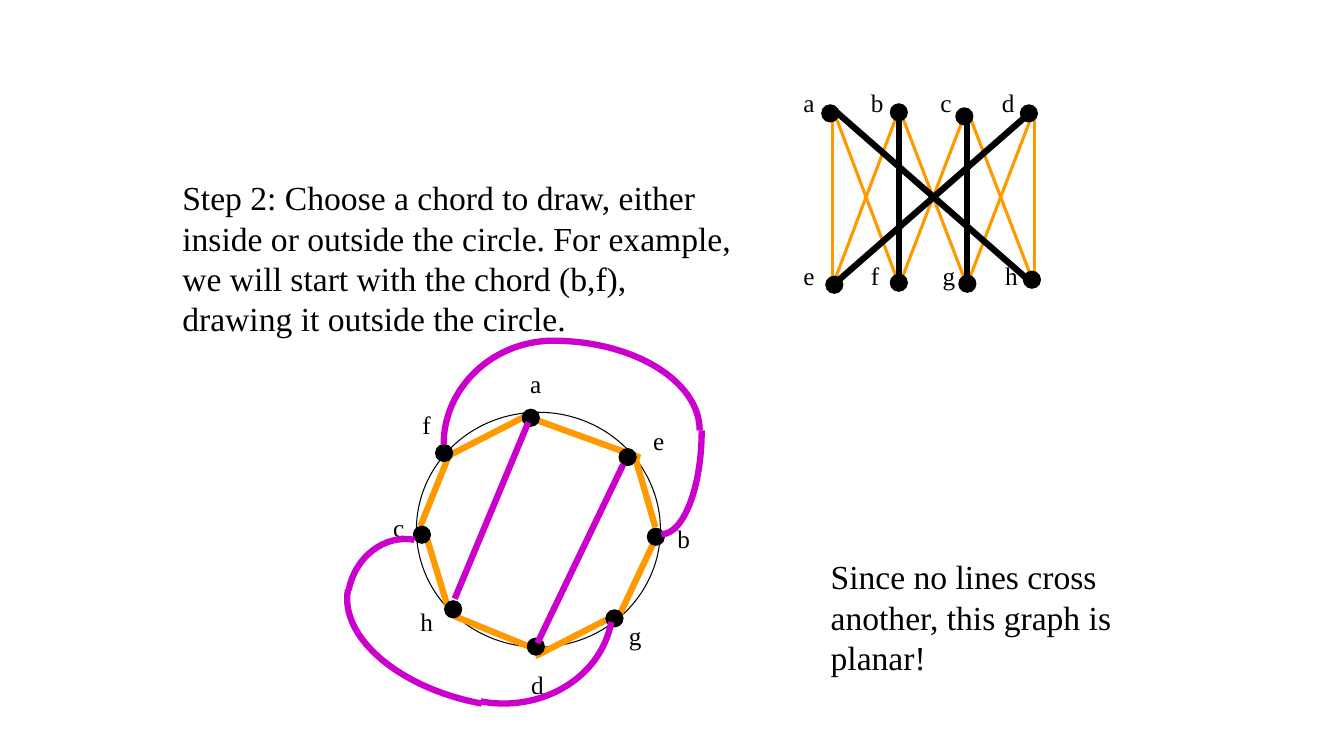
import math

import lxml.etree
import pptx
import pptx.dml.color
import pptx.enum.shapes
import pptx.enum.text
import pptx.oxml.ns
import pptx.util
from pptx.util import Inches

BLACK, WHITE, ORANGE, PURPLE = "000000", "FFFFFF", "FF9900", "CC00CC"
DOT_SIZE = 0.17
CURVE_PULL = 0.55
CURVE_SCALE = 10000

COLUMNS = (8.26, 8.92, 9.59, 10.26)
ROWS = {"abcd": 1.08, "efgh": 2.83}
CIRCLE_EDGES = ["dh", "ae", "af", "cf", "ch", "bg", "be", "dg"]
CHORDS = ["bf", "cg", "de", "ah"]
BIPARTITE_DOTS = [
    (10.15, 2.69), (8.83, 1.03), (9.48, 1.07), (10.12, 1.04),
    (8.15, 1.04), (8.19, 2.74), (8.83, 2.72), (9.51, 2.73),
]
LABEL_TABS = [
    ("a\tb\tc\td", (0.31, 0.98, 1.67, 2.28), 0),
    ("e\tf\tg\th", (0.31, 0.98, 1.69, 2.31), 101.5),
]

RING_EDGES = [
    ((5.3, 4.16), (6.35, 4.54)), ((4.5, 6.11), (5.36, 6.46)),
    ((6.3, 4.54), (6.5, 5.23)), ((6.49, 5.37), (6.14, 6.11)),
    ((4.24, 5.36), (4.45, 6.05)), ((6.09, 6.11), (5.31, 6.51)),
    ((4.46, 4.5), (4.17, 5.22)), ((5.25, 4.11), (4.47, 4.51)),
]
RING_VERTICES = {
    "f": ((4.32, 4.41), (4.09, 4.01, 0.28, 0.4)),
    "a": ((5.18, 4.06), (5.16, 3.6, 0.31, 0.4)),
    "g": ((6.01, 6.05), (6.14, 6.1, 0.33, 0.4)),
    "e": ((6.14, 4.45), (6.38, 4.17, 0.31, 0.4)),
    "c": ((4.1, 5.22), (3.8, 5.03, 0.31, 0.4)),
    "h": ((4.41, 5.96), (4.07, 5.97, 0.33, 0.4)),
    "d": ((5.23, 6.33), (5.17, 6.59, 0.33, 0.4)),
    "b": ((6.42, 5.24), (6.62, 5.14, 0.33, 0.4)),
}
INSIDE_CHORDS = [((4.51, 5.94), (5.24, 4.19)), ((5.33, 6.38), (6.18, 4.61))]
OUTSIDE_ARCS = [
    ((4.4, 3.38, 1.09, 1.03), 180, 0),
    ((6.56, 4.27, 0.4, 1.03), 0, 0),
    ((5.48, 3.38, 1.46, 0.89), 270, 0),
    ((4.85, 6.06, 1.13, 1.01), 0, 10.5),
    ((3.51, 5.3, 0.55, 0.61), 180, 10.5),
    ((3.36, 5.98, 1.51, 0.87), 90, 10.5),
]


def rgb(color):
    return pptx.dml.color.RGBColor.from_string(color)


def apply(target, values):
    for name, value in values.items():
        setattr(target, name, value)


def set_line(line, color, width):
    line.color.rgb = rgb(color)
    line.width = pptx.util.Pt(width)


def add_line(slide, start, end, color, width):
    edge = slide.shapes.add_connector(
        pptx.enum.shapes.MSO_CONNECTOR.STRAIGHT,
        *(Inches(value) for value in (*start, *end)))
    set_line(edge.line, color, width)
    lxml.etree.SubElement(edge._element.spPr, pptx.oxml.ns.qn("a:effectLst"))


def add_ellipse(slide, box, fill):
    ellipse = slide.shapes.add_shape(
        pptx.enum.shapes.MSO_SHAPE.OVAL, *(Inches(value) for value in box))
    ellipse.shadow.inherit = False
    ellipse.fill.solid()
    ellipse.fill.fore_color.rgb = rgb(fill)
    set_line(ellipse.line, BLACK, 0.75)


def add_dot(slide, corner):
    add_ellipse(slide, (*corner, DOT_SIZE, DOT_SIZE), BLACK)


def bend_segments(shape):
    segments = list(shape._element.iter(pptx.oxml.ns.qn("a:lnTo")))
    curve = lxml.etree.Element(pptx.oxml.ns.qn("a:cubicBezTo"))
    segments[0].addprevious(curve)
    for segment in segments:
        curve.append(segment[0])
        segment.getparent().remove(segment)


def add_quarter_arc(slide, box, start_angle, rotation):
    left, top, width, height = box
    turn = math.radians(start_angle)
    cos, sin = round(math.cos(turn)), round(math.sin(turn))
    center_x = left if cos - sin > 0 else left + width
    center_y = top if cos + sin > 0 else top + height
    points = []
    for along, across in ((1, 0), (1, CURVE_PULL), (CURVE_PULL, 1), (0, 1)):
        x = center_x + width * (along * cos - across * sin)
        y = center_y + height * (along * sin + across * cos)
        points.append((round(x * CURVE_SCALE), round(y * CURVE_SCALE)))
    builder = slide.shapes.build_freeform(*points[0], scale=Inches(1) / CURVE_SCALE)
    builder.add_line_segments(points[1:], close=False)
    arc = builder.convert_to_shape()
    bend_segments(arc)
    arc.rotation = rotation
    arc.shadow.inherit = False
    arc.fill.background()
    set_line(arc.line, PURPLE, 4.5)


def add_tabs(paragraph, stops):
    tab_list = lxml.etree.SubElement(
        paragraph._p.get_or_add_pPr(), pptx.oxml.ns.qn("a:tabLst"))
    for stop in stops:
        lxml.etree.SubElement(tab_list, pptx.oxml.ns.qn("a:tab"),
                              pos=str(Inches(stop)), algn="l")


def format_font(paragraph, size):
    apply(paragraph.font, {"name": "Times New Roman", "size": pptx.util.Pt(size)})
    paragraph.font.color.rgb = rgb(BLACK)


def add_text(slide, box, text, size, wrap=True):
    frame = slide.shapes.add_textbox(*(Inches(value) for value in box)).text_frame
    apply(frame, {
        "word_wrap": wrap,
        "auto_size": pptx.enum.text.MSO_AUTO_SIZE.SHAPE_TO_FIT_TEXT,
        "text": text,
    })
    format_font(frame.paragraphs[0], size)


def add_row_labels(slide, box):
    frame = slide.shapes.add_textbox(*(Inches(value) for value in box)).text_frame
    frame.word_wrap = True
    for index, (labels, stops, gap) in enumerate(LABEL_TABS):
        row = frame.add_paragraph() if index else frame.paragraphs[0]
        row.text = "\t" + labels
        if gap:
            row.space_before = pptx.util.Pt(gap)
        add_tabs(row, stops)
        format_font(row, 18)


def add_bipartite_graph(slide):
    ends = {name: (x, y) for names, y in ROWS.items()
            for name, x in zip(names, COLUMNS)}
    for edges, color, width in ((CIRCLE_EDGES, ORANGE, 2.25), (CHORDS, BLACK, 4.5)):
        for start, end in edges:
            add_line(slide, ends[start], ends[end], color, width)
    for corner in BIPARTITE_DOTS:
        add_dot(slide, corner)
    add_row_labels(slide, (7.56, 0.82, 3.17, 2.21))


def add_circle_graph(slide):
    add_ellipse(slide, (4.13, 4.09, 2.42, 2.33), WHITE)
    for start, end in RING_EDGES:
        add_line(slide, start, end, ORANGE, 4.5)
    for corner, _ in RING_VERTICES.values():
        add_dot(slide, corner)
    for name, (_, label_box) in RING_VERTICES.items():
        add_text(slide, label_box, name, 18, wrap=False)
    for box, start_angle, rotation in OUTSIDE_ARCS:
        add_quarter_arc(slide, box, start_angle, rotation)
    for start, end in INSIDE_CHORDS:
        add_line(slide, start, end, PURPLE, 4.5)


def main():
    deck = pptx.Presentation()
    apply(deck, {"slide_width": Inches(13.33), "slide_height": Inches(7.5)})
    slide = deck.slides.add_slide(deck.slide_layouts[6])
    add_text(slide, (1.71, 1.71, 5.75, 1.72),
             "Step 2: Choose a chord to draw, either inside or outside the circle. "
             "For example, we will start with the chord (b,f), "
             "drawing it outside the circle.", 24)
    add_text(slide, (8.14, 5.47, 3.25, 1.31),
             "Since no lines cross another, this graph is planar!", 24)
    add_bipartite_graph(slide)
    add_circle_graph(slide)
    deck.save("out.pptx")


if __name__ == "__main__":
    main()
